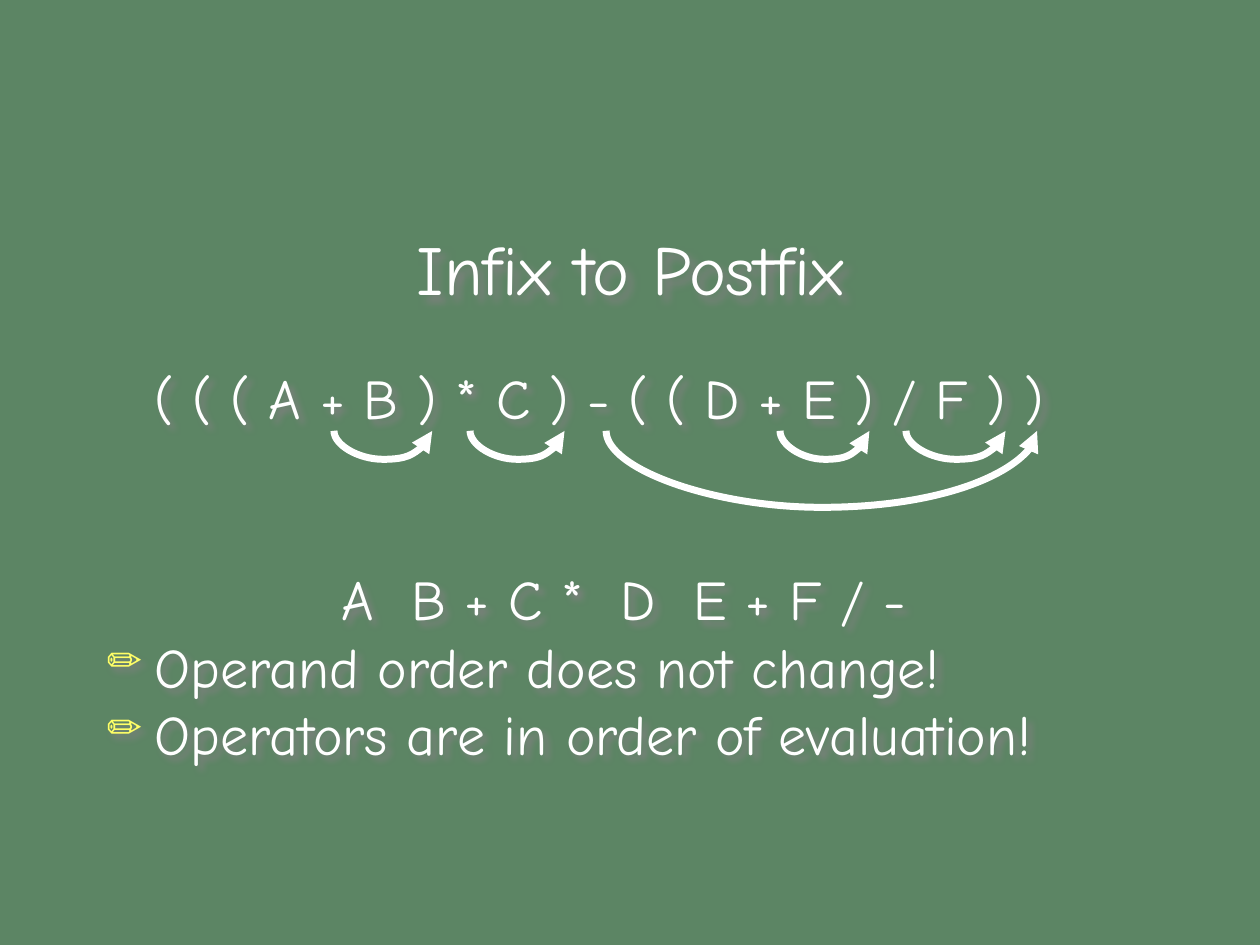
from lxml.etree import SubElement
from pptx import Presentation
from pptx.dml.color import RGBColor
from pptx.enum.shapes import MSO_CONNECTOR
from pptx.enum.text import MSO_ANCHOR, PP_ALIGN
from pptx.oxml.ns import qn
from pptx.util import Emu, Inches, Pt

WIDTH, HEIGHT = Inches(10), Inches(7.5)
FONT = "Comic Neue"
BOARD, CHALK, YELLOW = "5C8564", "FFFFFF", "FFFF66"
MARGIN = 0.075
BODY_SIZE = 32
LINE_HEIGHT = 1.2 * BODY_SIZE
HANGING = Inches(0.38)
ARROW_TOP = Inches(3.42)
THICKNESS = Emu(1588)

# start and end in inches, depth of the bow in inches
ARROWS = [
    (2.65, 3.43, 0.25),
    (3.73, 4.48, 0.25),
    (6.19, 6.9, 0.25),
    (7.19, 7.98, 0.25),
    (4.81, 8.23, 0.67),
]


def color(hex_string):
    return RGBColor.from_string(hex_string)


def add_element(parent, tag, **attributes):
    return SubElement(parent, qn(tag), {key: str(value) for key, value in attributes.items()})


def add_text_box(slide, top, height):
    """Add a wide box, placed by shares of the slide's height, with a soft text shadow."""
    box = slide.shapes.add_textbox(
        int(WIDTH * MARGIN), int(HEIGHT * top), int(WIDTH * (1 - 2 * MARGIN)), int(HEIGHT * height)
    )
    box.text_frame.word_wrap = True
    effects = add_element(box._element.spPr, "a:effectLst")
    shadow = add_element(effects, "a:outerShdw", blurRad=Pt(4), dist=Pt(4), dir=2700000)
    add_element(shadow, "a:srgbClr", val="808080")
    return box


def add_run(paragraph, text, size):
    run = paragraph.add_run()
    run.text = text
    run.font.name = FONT
    run.font.size = Pt(size)
    run.font.color.rgb = color(CHALK)


def set_indent(paragraph, left, first=0):
    properties = paragraph._p.get_or_add_pPr()
    properties.set("marL", str(left))
    properties.set("indent", str(first))
    return properties


def add_pencil_bullet(paragraph):
    properties = set_indent(paragraph, HANGING, -HANGING)
    bullet_color = add_element(properties, "a:buClr")
    add_element(bullet_color, "a:srgbClr", val=YELLOW)
    add_element(properties, "a:buSzPct", val=75000)
    add_element(properties, "a:buChar", char="✏")


def add_title(slide):
    frame = add_text_box(slide, 0.2, 1 / 6).text_frame
    frame.vertical_anchor = MSO_ANCHOR.MIDDLE
    paragraph = frame.paragraphs[0]
    paragraph.alignment = PP_ALIGN.CENTER
    add_run(paragraph, "Infix to Postfix", 40)


def add_body(slide):
    frame = add_text_box(slide, 0.378, 0.51).text_frame
    infix = frame.paragraphs[0]
    set_indent(infix, HANGING)
    add_run(infix, "( ( ( A + B ) * C ) - ( ( D + E ) / F ) )", BODY_SIZE)

    postfix = frame.add_paragraph()
    set_indent(postfix, Inches(1.86))
    postfix.space_before = Pt(2 * LINE_HEIGHT)
    add_run(postfix, "A  B + C *  D  E + F / -", BODY_SIZE)

    for text in ("Operand order does not change!", "Operators are in order of evaluation!"):
        paragraph = frame.add_paragraph()
        add_pencil_bullet(paragraph)
        add_run(paragraph, text, BODY_SIZE)


def add_bow_arrow(slide, start, end, depth):
    """Add a curved connector turned on its side so that it bows below the text."""
    length = Inches(end - start)
    center = Inches((start + end) / 2)
    left, top = center - THICKNESS // 2, ARROW_TOP - length // 2
    arrow = slide.shapes.add_connector(
        MSO_CONNECTOR.CURVE, left, top, left + THICKNESS, top + length
    )
    properties = arrow._element.spPr
    transform = properties.find(qn("a:xfrm"))
    transform.set("rot", "16200000")
    transform.set("flipH", "1")
    adjustments = properties.find(qn("a:prstGeom")).find(qn("a:avLst"))
    bow = round(Inches(depth) / THICKNESS * 100000)
    add_element(adjustments, "a:gd", name="adj1", fmla=f"val {bow}")
    arrow.line.color.rgb = color(CHALK)
    arrow.line.width = Pt(4)
    add_element(arrow.line._get_or_add_ln(), "a:tailEnd", type="triangle")
    add_element(properties, "a:effectLst")


def main():
    presentation = Presentation()
    presentation.slide_width, presentation.slide_height = WIDTH, HEIGHT
    slide = presentation.slides.add_slide(presentation.slide_layouts[6])
    fill = slide.background.fill
    fill.solid()
    fill.fore_color.rgb = color(BOARD)
    add_title(slide)
    add_body(slide)
    for start, end, depth in ARROWS:
        add_bow_arrow(slide, start, end, depth)
    presentation.save("out.pptx")


if __name__ == "__main__":
    main()
